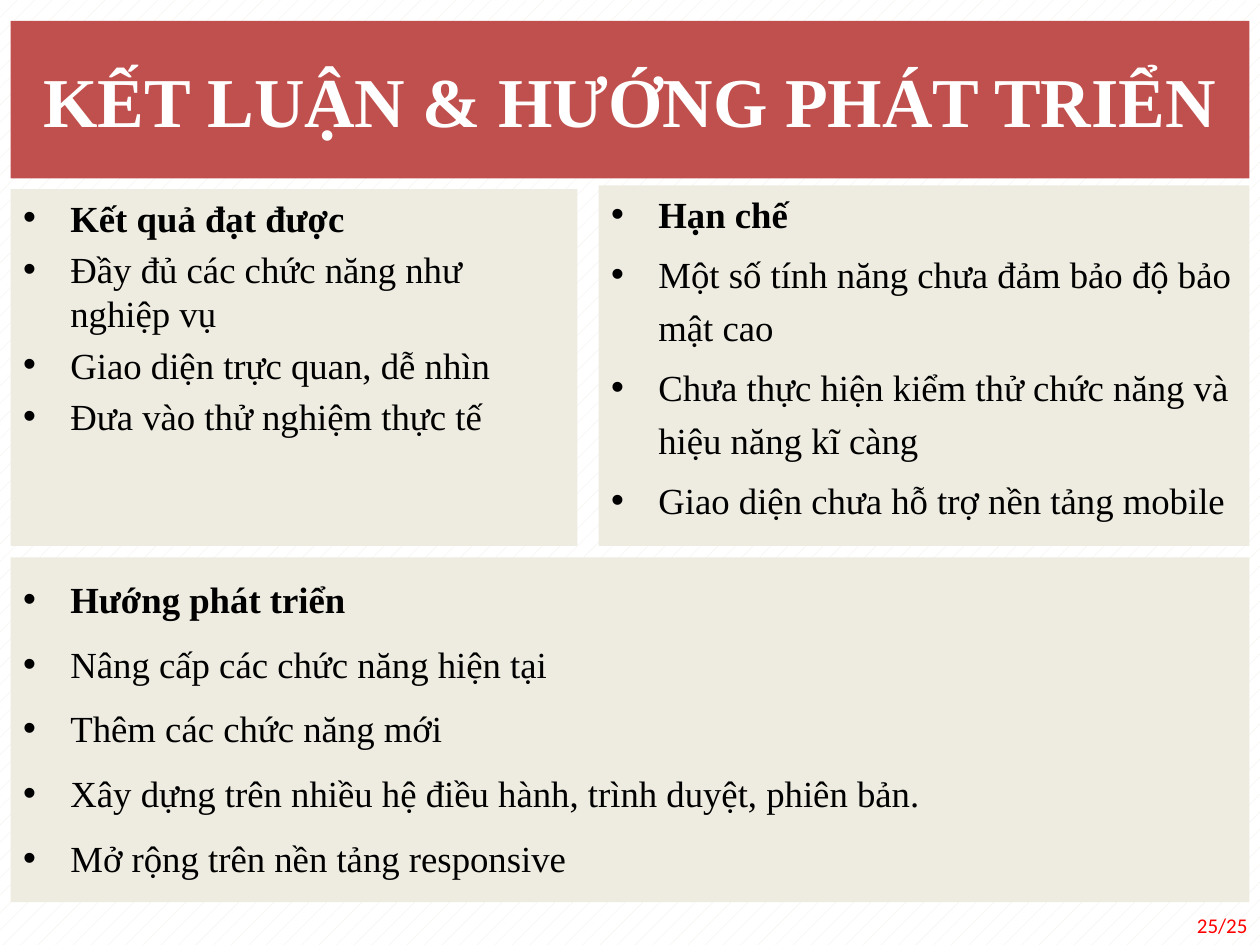
import pptx
import pptx.dml.color
import pptx.enum.dml
import pptx.enum.text
import pptx.oxml
import pptx.oxml.ns
import pptx.util

Pt = pptx.util.Pt
ALIGN = pptx.enum.text.PP_ALIGN
ANCHOR = pptx.enum.text.MSO_ANCHOR
HUES = {"cream": "EEECE1", "red": "C0504D", "white": "FFFFFF",
        "black": "000000", "alert": "FF0000"}
HANG = Pt(27)


def tint(name):
    return pptx.dml.color.RGBColor.from_string(HUES[name])


def write(para, text, size=21, face="Times New Roman", hue="black",
          bold=False, align=ALIGN.LEFT, lines=None):
    run = para.add_run()
    run.text = text
    run.font.size = Pt(size)
    run.font.name = face
    run.font.bold = bold
    run.font.color.rgb = tint(hue)
    para.alignment = align
    if lines:
        para.line_spacing = lines


def dot(para):
    """Give the paragraph a round bullet with a hanging indent."""
    props = para._p.get_or_add_pPr()
    props.set("marL", str(HANG))
    props.set("indent", str(-HANG))
    space = pptx.oxml.ns.nsdecls("a")
    for xml in (f'<a:buFont {space} typeface="Arial"/>',
                f'<a:buChar {space} char="•"/>'):
        props.append(pptx.oxml.parse_xml(xml))


class Deck:
    def __init__(self):
        self.show = pptx.Presentation()
        self.show.slide_width, self.show.slide_height = Pt(720), Pt(540)
        # The comparison layout has a title and four bodies
        self.slide = self.show.slides.add_slide(self.show.slide_layouts[4])
        fill = self.slide.background.fill
        fill.patterned()
        fill.pattern = pptx.enum.dml.MSO_PATTERN.PERCENT_5
        fill.fore_color.rgb = tint("cream")
        fill.back_color.rgb = tint("white")

    def place(self, shape, box, anchor, fill=None):
        shape.left, shape.top, shape.width, shape.height = map(Pt, box)
        if fill:
            shape.fill.solid()
            shape.fill.fore_color.rgb = tint(fill)
        frame = shape.text_frame
        frame.word_wrap = True
        frame.auto_size = pptx.enum.text.MSO_AUTO_SIZE.NONE
        frame.vertical_anchor = anchor
        return frame

    def title(self, text, box):
        frame = self.place(self.slide.shapes.title, box, ANCHOR.MIDDLE, "red")
        write(frame.paragraphs[0], text, size=40, hue="white", bold=True,
              align=ALIGN.CENTER)

    def panel(self, index, box, head, items, first=None, rest=None):
        """Fill a body with a bold head and its items; first and rest set line spacing."""
        body = self.slide.placeholders[index]
        frame = self.place(body, box, ANCHOR.TOP, "cream")
        for num, text in enumerate([head] + items):
            para = frame.add_paragraph() if num else frame.paragraphs[0]
            write(para, text, bold=num == 0, lines=rest if num else first)
            dot(para)

    def number(self, text, box):
        shape = self.slide.shapes.add_textbox(*map(Pt, box))
        frame = self.place(shape, box, ANCHOR.MIDDLE)
        write(frame.paragraphs[0], text, size=12, face="Calibri",
              hue="alert", align=ALIGN.RIGHT)
        frame.margin_right = Pt(7.2)

    def save(self):
        for shape in list(self.slide.placeholders):
            if not shape.text_frame.text:
                shape.element.getparent().remove(shape.element)
        self.show.save("out.pptx")


def main():
    deck = Deck()
    deck.title("KẾT LUẬN & HƯỚNG PHÁT TRIỂN", (6, 12, 708, 90))
    deck.panel(2, (6, 108, 324, 204), "Kết quả đạt được", [
        "Đầy đủ các chức năng như nghiệp vụ",
        "Giao diện trực quan, dễ nhìn",
        "Đưa vào thử nghiệm thực tế"])
    deck.panel(4, (342, 106, 372, 206), "Hạn chế", [
        "Một số tính năng chưa đảm bảo độ bảo mật cao",
        "Chưa thực hiện kiểm thử chức năng và hiệu năng kĩ càng",
        "Giao diện chưa hỗ trợ nền tảng mobile"], rest=1.2)
    deck.panel(3, (6, 318.5, 708, 197), "Hướng phát triển", [
        "Nâng cấp các chức năng hiện tại",
        "Thêm các chức năng mới",
        "Xây dựng trên nhiều hệ điều hành, trình duyệt, phiên bản.",
        "Mở rộng trên nền tảng responsive"], first=1.3, rest=1.3)
    deck.number("25/25", (552, 514, 168, 29))
    deck.save()


if __name__ == "__main__":
    main()
